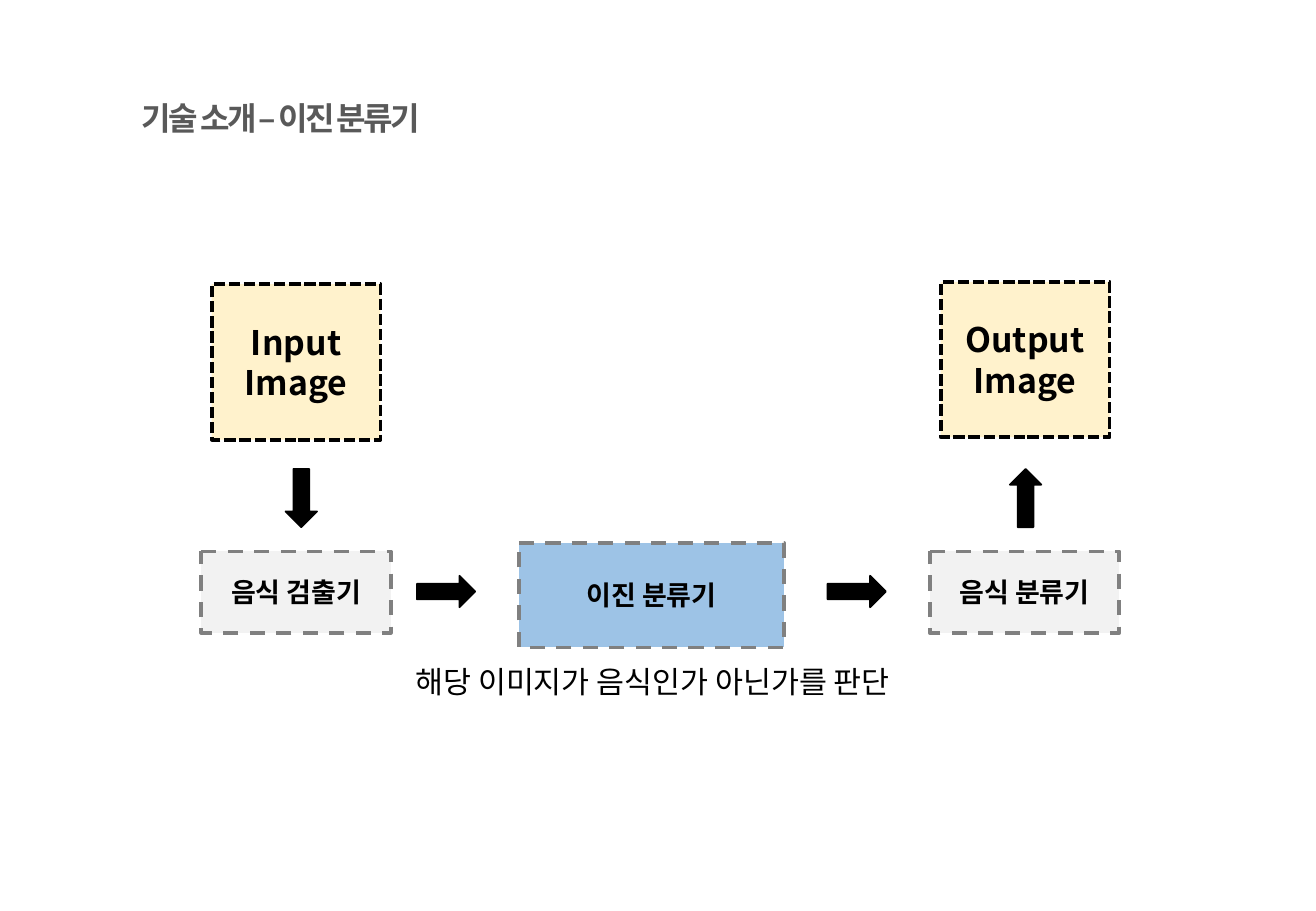
import pptx
import pptx.dml.color
import pptx.enum.dml
import pptx.enum.shapes
import pptx.enum.text
import pptx.oxml.ns
import pptx.util
from lxml import etree

COLORS = {
    "ink": "000000",
    "title": "595959",
    "image": "FFF2CC",
    "step": "F2F2F2",
    "focus": "9DC3E6",
    "edge": "808080",
}
DASH = pptx.enum.dml.MSO_LINE
SHAPE = pptx.enum.shapes.MSO_SHAPE
ALIGN = pptx.enum.text.PP_ALIGN
ANCHOR = pptx.enum.text.MSO_ANCHOR


class FlowSlide:
    """Draws on one slide; centres and sizes are percentages of its width and height."""

    font = "Noto Sans CJK KR"

    def __init__(self, deck):
        self.deck = deck
        self.slide = deck.slides.add_slide(deck.slide_layouts[6])

    def color(self, name):
        return pptx.dml.color.RGBColor.from_string(COLORS[name])

    def frame(self, center, size):
        width, height = self.deck.slide_width / 100, self.deck.slide_height / 100
        left, top = (c - s / 2 for c, s in zip(center, size))
        return [int(v) for v in (left * width, top * height, size[0] * width, size[1] * height)]

    def set_text(self, text_frame, text, size, color="ink", bold=False, align=ALIGN.LEFT, spacing=0):
        text_frame.word_wrap = True
        text_frame.text = text
        for paragraph in text_frame.paragraphs:
            paragraph.alignment = align
            font = paragraph.font
            font.size = pptx.util.Pt(size)
            font.bold = bold
            font.name = self.font
            font.color.rgb = self.color(color)
            defaults = paragraph._p.pPr.find(pptx.oxml.ns.qn("a:defRPr"))
            etree.SubElement(defaults, pptx.oxml.ns.qn("a:ea"), typeface=self.font)
            if spacing:
                defaults.set("spc", str(round(spacing * 100)))

    def label(self, text, center, size, points, **style):
        box = self.slide.shapes.add_textbox(*self.frame(center, size))
        self.set_text(box.text_frame, text, points, **style)

    def shape(self, kind, center, size, fill, edge, weight):
        shape = self.slide.shapes.add_shape(kind, *self.frame(center, size))
        shape.shadow.inherit = False
        shape.fill.solid()
        shape.fill.fore_color.rgb = self.color(fill)
        shape.line.color.rgb = self.color(edge)
        shape.line.width = pptx.util.Pt(weight)
        return shape

    def box(self, text, kind, center, size, fill, edge, dash, points):
        box = self.shape(kind, center, size, fill, edge, 2.25)
        box.line.dash_style = dash
        box.text_frame.vertical_anchor = ANCHOR.MIDDLE
        self.set_text(box.text_frame, text, points, bold=True, align=ALIGN.CENTER)

    def image(self, text, center):
        self.box(text, SHAPE.RECTANGLE, center, (12.83, 17.07), "image", "ink", DASH.SQUARE_DOT, 20)

    def step(self, text, center, size=(14.4, 8.93), fill="step"):
        self.box(text, SHAPE.FLOWCHART_PROCESS, center, size, fill, "edge", DASH.DASH, 16)

    def arrow(self, center, rotation):
        arrow = self.shape(SHAPE.DOWN_ARROW, center, (2.4, 6.4), "ink", "ink", 1)
        arrow.rotation = rotation


def main():
    deck = pptx.Presentation()
    deck.slide_width = pptx.util.Inches(10.83)
    deck.slide_height = pptx.util.Inches(7.5)
    flow = FlowSlide(deck)

    flow.label("기술 소개 – 이진 분류기", (29.96, 12.93), (40.17, 5.6), 19,
               color="title", bold=True, spacing=-1.5)

    flow.image("Input\nImage", (22.5, 39.73))
    flow.image("Output\nImage", (77.9, 39.47))

    flow.step("음식 검출기", (22.5, 65))
    flow.step("음식 분류기", (77.85, 65))
    flow.step("이진 분류기", (49.5, 65.33), size=(20.13, 11.47), fill="focus")

    for center, rotation in (
        ((22.9, 54.67), 0),
        ((33.9, 64.93), 270),
        ((65.1, 64.93), 270),
        ((77.93, 54.67), 180),
    ):
        flow.arrow(center, rotation)

    flow.label("해당 이미지가 음식인가 아닌가를 판단", (50, 74.8), (38.69, 5.33), 18)
    deck.save("out.pptx")


if __name__ == "__main__":
    main()
